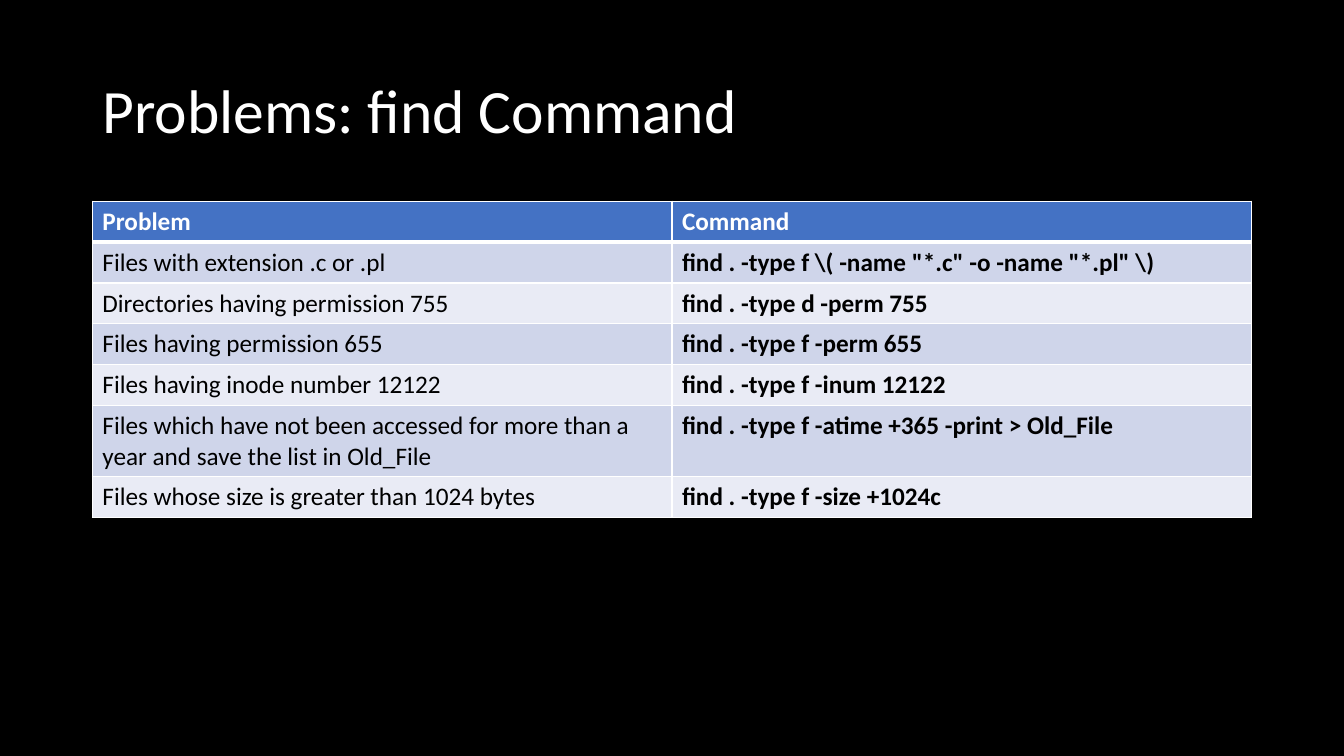
import pptx
import pptx.dml.color
import pptx.enum.text
import pptx.oxml
import pptx.oxml.ns
import pptx.util

Pt = pptx.util.Pt
RGBColor = pptx.dml.color.RGBColor

TITLE = "Problems: find Command"
ROWS = [
    ("Problem", "Command"),
    ("Files with extension .c or .pl", r'find . -type f \( -name "*.c" -o -name "*.pl" \)'),
    ("Directories having permission 755", "find . -type d -perm 755"),
    ("Files having permission 655", "find . -type f -perm 655"),
    ("Files having inode number 12122", "find . -type f -inum 12122"),
    ("Files which have not been accessed for more than a year and save the list in Old_File",
     "find . -type f -atime +365 -print > Old_File"),
    ("Files whose size is greater than 1024 bytes", "find . -type f -size +1024c"),
]

FONT = "Calibri"
BLACK = RGBColor(0x00, 0x00, 0x00)
WHITE = RGBColor(0xFF, 0xFF, 0xFF)
HEADER_BLUE = RGBColor(0x44, 0x72, 0xC4)
BAND_DARK = RGBColor(0xCF, 0xD5, 0xEA)
BAND_LIGHT = RGBColor(0xE9, 0xEB, 0xF5)

LEFT, WIDTH = 66, 828
TITLE_TOP, TITLE_HEIGHT = 28.75, 104.4
TABLE_TOP, ROW_HEIGHT = 143.75, 29.2


def add_run(paragraph, text, size, color, bold=False):
    run = paragraph.add_run()
    run.text = text
    run.font.name = FONT
    run.font.size = Pt(size)
    run.font.bold = bold
    run.font.color.rgb = color


def set_borders(cell, widths):
    properties = cell._tc.get_or_add_tcPr()
    for side, width in zip("LRTB", widths):
        properties.append(pptx.oxml.parse_xml(
            f'<a:ln{side} {pptx.oxml.ns.nsdecls("a")} w="{Pt(width)}">'
            f'<a:solidFill><a:srgbClr val="{WHITE}"/></a:solidFill></a:ln{side}>'))


def add_title(slide):
    box = slide.shapes.add_textbox(Pt(LEFT), Pt(TITLE_TOP), Pt(WIDTH), Pt(TITLE_HEIGHT))
    frame = box.text_frame
    frame.word_wrap = True
    frame.vertical_anchor = pptx.enum.text.MSO_ANCHOR.MIDDLE
    paragraph = frame.paragraphs[0]
    paragraph.line_spacing = 0.9
    add_run(paragraph, TITLE, 44, WHITE)


def add_problem_table(slide):
    table = slide.shapes.add_table(
        len(ROWS), 2, Pt(LEFT), Pt(TABLE_TOP), Pt(WIDTH), Pt(ROW_HEIGHT * len(ROWS))).table
    for column in table.columns:
        column.width = Pt(WIDTH / 2)
    for row_index, texts in enumerate(ROWS):
        table.rows[row_index].height = Pt(ROW_HEIGHT)
        header = row_index == 0
        band = BAND_DARK if row_index % 2 else BAND_LIGHT
        top = 3 if row_index == 1 else 1
        bottom = 3 if header else 1
        for column_index, text in enumerate(texts):
            cell = table.cell(row_index, column_index)
            set_borders(cell, (1, 1, top, bottom))
            cell.fill.solid()
            cell.fill.fore_color.rgb = HEADER_BLUE if header else band
            add_run(cell.text_frame.paragraphs[0], text, 18,
                    WHITE if header else BLACK, header or column_index == 1)


def main():
    presentation = pptx.Presentation()
    presentation.slide_width, presentation.slide_height = Pt(960), Pt(540)
    slide = presentation.slides.add_slide(presentation.slide_layouts[6])
    slide.background.fill.solid()
    slide.background.fill.fore_color.rgb = BLACK
    add_title(slide)
    add_problem_table(slide)
    presentation.save("out.pptx")


if __name__ == "__main__":
    main()
